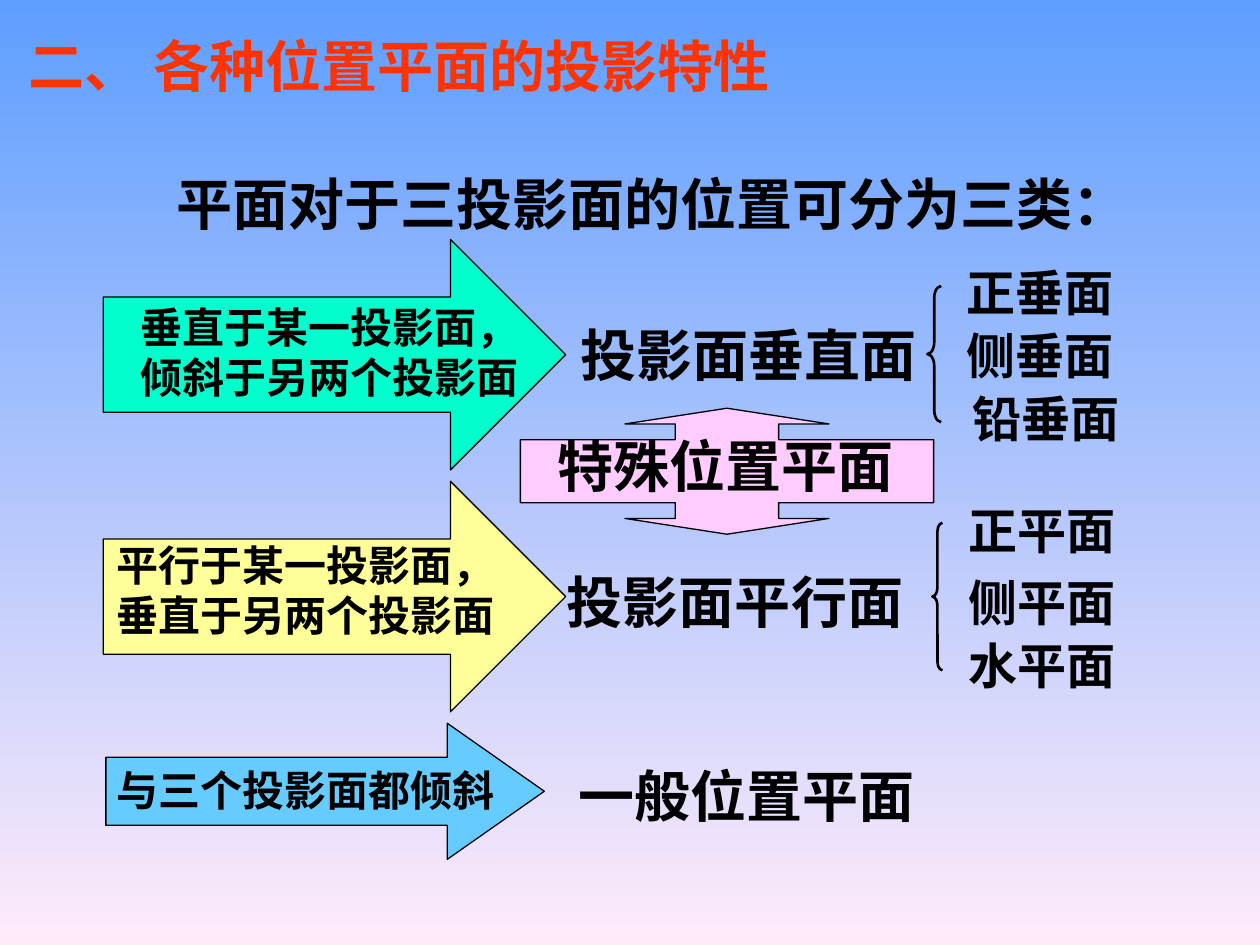
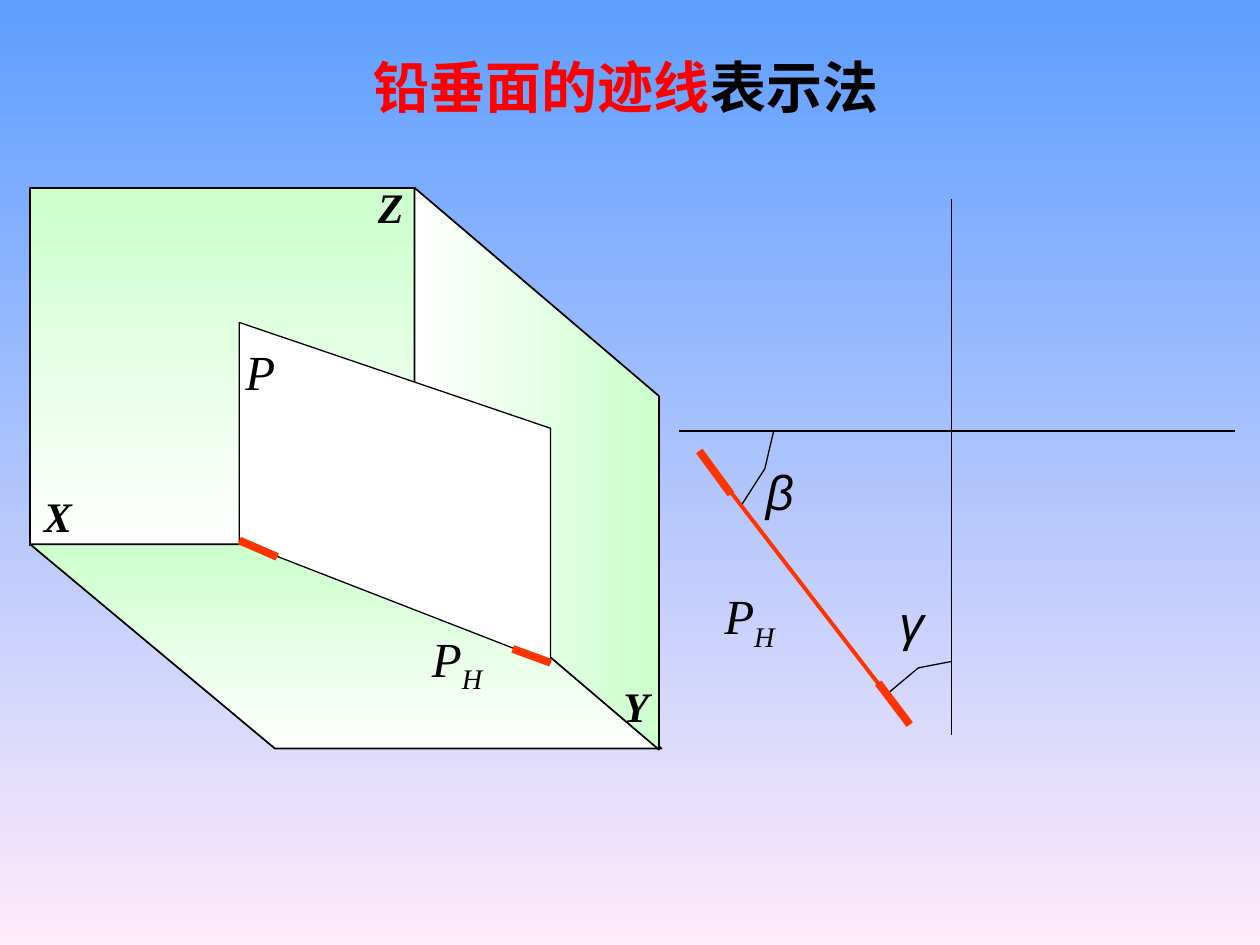
from lxml.etree import SubElement
from pptx import Presentation
from pptx.dml.color import RGBColor
from pptx.enum.shapes import MSO_CONNECTOR, MSO_SHAPE
from pptx.enum.text import MSO_ANCHOR, MSO_AUTO_SIZE, PP_ALIGN
from pptx.oxml.ns import qn
from pptx.util import Inches, Pt

BLACK, RED, ORANGE = "000000", "FF0000", "FF3300"
SKY, BLUSH, MINT, WHITE = "5E9EFF", "FFEBFA", "CCFFCC", "FFFFFF"
SERIF, SANS, CHINESE = "Times New Roman", "Arial", "Noto Sans CJK SC"


def color(hex_code):
    return RGBColor.from_string(hex_code)


def set_gradient(fill, start, end, angle):
    """Fill from start to end; the angle runs counterclockwise."""
    fill.gradient()
    fill.gradient_angle = angle
    for stop, hex_code in zip(fill.gradient_stops, (start, end)):
        stop.color.rgb = color(hex_code)


def add_page(deck):
    page = deck.slides.add_slide(deck.slide_layouts[6])
    set_gradient(page.background.fill, SKY, BLUSH, 270)
    return page


def style_shape(shape, fill=None, width=0.75):
    shape.shadow.inherit = False
    if fill:
        shape.fill.solid()
        shape.fill.fore_color.rgb = color(fill)
    else:
        shape.fill.background()
    shape.line.color.rgb = color(BLACK)
    shape.line.width = Pt(width)


def add_preset(page, kind, place, adjustments=(), fill=None, width=0.75):
    shape = page.shapes.add_shape(kind, *map(Inches, place))
    for index, value in enumerate(adjustments):
        shape.adjustments[index] = value
    style_shape(shape, fill, width)
    return shape


def add_projection_plane(page, kind, place, adjustments=(), angle=270):
    plane = add_preset(page, kind, place, adjustments, width=1)
    set_gradient(plane.fill, MINT, WHITE, angle)
    plane._element.spPr.find(qn("a:gradFill")).set("rotWithShape", "0")
    return plane


def add_outline(page, points, fill=None):
    """Draw a polygon when a fill is given, otherwise an open line."""
    start, *rest = [tuple(map(Inches, point)) for point in points]
    builder = page.shapes.build_freeform(*start)
    builder.add_line_segments(rest, close=fill is not None)
    style_shape(builder.convert_to_shape(), fill)


def add_line(page, start, end, hex_code=BLACK, width=0.75):
    line = page.shapes.add_connector(
        MSO_CONNECTOR.STRAIGHT, *map(Inches, (*start, *end)))
    line.line.color.rgb = color(hex_code)
    line.line.width = Pt(width)
    SubElement(line._element.spPr, qn("a:effectLst"))


def style_span(span, size, font, hex_code, bold, italic):
    span.font.size = Pt(size)
    span.font.bold = bold
    span.font.italic = italic
    span.font.color.rgb = color(hex_code)
    span.font.name = font
    SubElement(span._r.get_or_add_rPr(), qn("a:ea")).set("typeface", CHINESE)


def add_text(page, place, text, size=32, font=SERIF, hex_code=BLACK, bold=True,
             italic=False, align=PP_ALIGN.LEFT, anchor=MSO_ANCHOR.MIDDLE,
             indent=0, wrap=True, grow=True):
    """Add a text box, one paragraph a line, and return its first paragraph."""
    box = page.shapes.add_textbox(*map(Inches, place))
    frame = box.text_frame
    frame.text = text
    frame.word_wrap = wrap
    frame.auto_size = (MSO_AUTO_SIZE.SHAPE_TO_FIT_TEXT if grow
                       else MSO_AUTO_SIZE.NONE)
    frame.vertical_anchor = anchor
    frame.margin_left = Inches(0.1 + indent)
    for para in frame.paragraphs:
        para.alignment = align
        for span in para.runs:
            style_span(span, size, font, hex_code, bold, italic)
    return frame.paragraphs[0]


def add_symbol(page, place, text, subscript="", font=SERIF, wrap=True):
    para = add_text(page, place, text, 28, font, bold=False, italic=True,
                    anchor=MSO_ANCHOR.TOP, wrap=wrap)
    if subscript:
        span = para.add_run()
        span.text = subscript
        style_span(span, 28, font, BLACK, False, True)
        span._r.get_or_add_rPr().set("baseline", "-25000")


def add_brace_list(page, brace, names):
    for left, top, name in names:
        add_text(page, (left, top, 2.05, 0.57), name, 28, indent=0.19)
    add_preset(page, MSO_SHAPE.LEFT_BRACE, brace, (0.85, 0.5), width=1.5)


def build_classification(deck):
    page = add_page(deck)
    for place, head, fill in (
            ((0.84, 5.74, 3.48, 1.08), 0.713, "66CCFF"),
            ((0.82, 3.82, 3.67, 1.83), 0.5, "FFFF99"),
            ((0.82, 1.9, 3.67, 1.83), 0.5, "00FFCC")):
        add_preset(page, MSO_SHAPE.RIGHT_ARROW, place, (0.5, head), fill)

    add_text(page, (1.3, 1.29, 8.19, 0.64), "平面对于三投影面的位置可分为三类：",
             font=CHINESE)
    add_text(page, (4.51, 2.49, 3.01, 0.64), "投影面垂直面")
    add_text(page, (4.29, 4.45, 3.27, 0.64), "投影面平行面", indent=0.11)
    add_text(page, (4.49, 5.99, 3.51, 0.64), "一般位置平面")

    add_preset(page, MSO_SHAPE.UP_DOWN_ARROW_CALLOUT, (4.13, 3.24, 3.28, 1),
               (0.82, 0.81, 0.125, 0.5), "FFCCFF")
    add_text(page, (4.22, 3.37, 3.08, 0.64), "特殊位置平面",
             align=PP_ALIGN.CENTER)

    add_text(page, (0.99, 2.34, 3.25, 0.9),
             "垂直于某一投影面，倾斜于另两个投影面", 24, align=PP_ALIGN.CENTER)
    add_text(page, (0.83, 4.23, 3.75, 0.9),
             "平行于某一投影面，\n垂直于另两个投影面", 24)
    add_text(page, (0.83, 6.02, 3.2, 0.5), "与三个投影面都倾斜", 24, wrap=False)

    add_brace_list(page, (7.36, 2.27, 0.11, 1.08), (
        (7.38, 2.03, "正垂面"), (7.38, 2.53, "侧垂面"), (7.43, 3.03, "铅垂面")))
    add_brace_list(page, (7.4, 4.15, 0.08, 1.17), (
        (7.4, 3.92, "正平面"), (7.4, 4.49, "侧平面"), (7.4, 4.99, "水平面")))
    add_text(page, (0.13, 0.2, 8.42, 0.64), "二、 各种位置平面的投影特性",
             hex_code=ORANGE, anchor=MSO_ANCHOR.TOP)


def add_projection_box(page):
    add_projection_plane(page, MSO_SHAPE.RECTANGLE, (0.24, 1.49, 3.05, 2.84))
    floor = add_projection_plane(page, MSO_SHAPE.PARALLELOGRAM,
                                 (0.24, 4.32, 5.01, 1.62), (1.198,))
    floor._element.spPr.find(qn("a:xfrm")).set("flipH", "1")
    side = add_projection_plane(page, MSO_SHAPE.PARALLELOGRAM,
                                (2.03, 2.75, 4.46, 1.94), (0.852,), 180)
    side.rotation = 270
    for left, top, axis in ((0.12, 3.84, "X"), (2.76, 1.39, "Z"),
                            (4.71, 5.35, "Y")):
        add_text(page, (left, top, 0.68, 0.5), axis, 24, italic=True,
                 align=PP_ALIGN.CENTER, anchor=MSO_ANCHOR.TOP)


def add_trace_drawing(page):
    add_symbol(page, (7.04, 4.65, 0.58, 0.57), "γ", font=SANS)
    add_symbol(page, (5.98, 3.61, 0.41, 0.57), "β", font=SANS, wrap=False)
    add_line(page, (9.8, 3.42), (5.39, 3.42))
    add_line(page, (7.55, 5.83), (7.55, 1.58))
    trace_start, trace_end = (5.55, 3.58), (7.22, 5.75)
    add_line(page, trace_start, trace_end, ORANGE, 2.25)
    add_outline(page, ((7.05, 5.5), (7.29, 5.3), (7.55, 5.25)))
    add_outline(page, ((5.89, 4), (6.07, 3.72), (6.14, 3.42)))
    add_line(page, trace_start, (5.8, 3.92), ORANGE, 4.5)
    add_line(page, trace_end, (6.97, 5.42), ORANGE, 4.5)
    add_symbol(page, (5.65, 4.6, 1.02, 0.63), "P", "H")


def add_vertical_plane(page):
    add_outline(page, ((1.9, 4.3), (1.9, 2.56), (4.37, 3.4), (4.37, 5.26)),
                WHITE)
    add_symbol(page, (1.85, 2.66, 0.33, 0.57), "P")
    add_symbol(page, (3.33, 4.94, 0.81, 0.63), "P", "H")
    add_line(page, (1.9, 4.29), (2.2, 4.42), ORANGE, 4.5)
    add_line(page, (4.07, 5.15), (4.37, 5.26), ORANGE, 4.5)


def build_trace_method(deck):
    page = add_page(deck)
    add_projection_box(page)
    title = add_text(page, (1.19, 0.35, 7.56, 0.67), "铅垂面的迹线", font=SANS,
                     hex_code=RED, align=PP_ALIGN.CENTER, grow=False)
    span = title.add_run()
    span.text = "表示法"
    style_span(span, 32, SANS, BLACK, True, False)
    add_trace_drawing(page)
    add_vertical_plane(page)


def main():
    deck = Presentation()
    deck.slide_width, deck.slide_height = Inches(10), Inches(7.5)
    build_classification(deck)
    build_trace_method(deck)
    deck.save("out.pptx")


if __name__ == "__main__":
    main()
